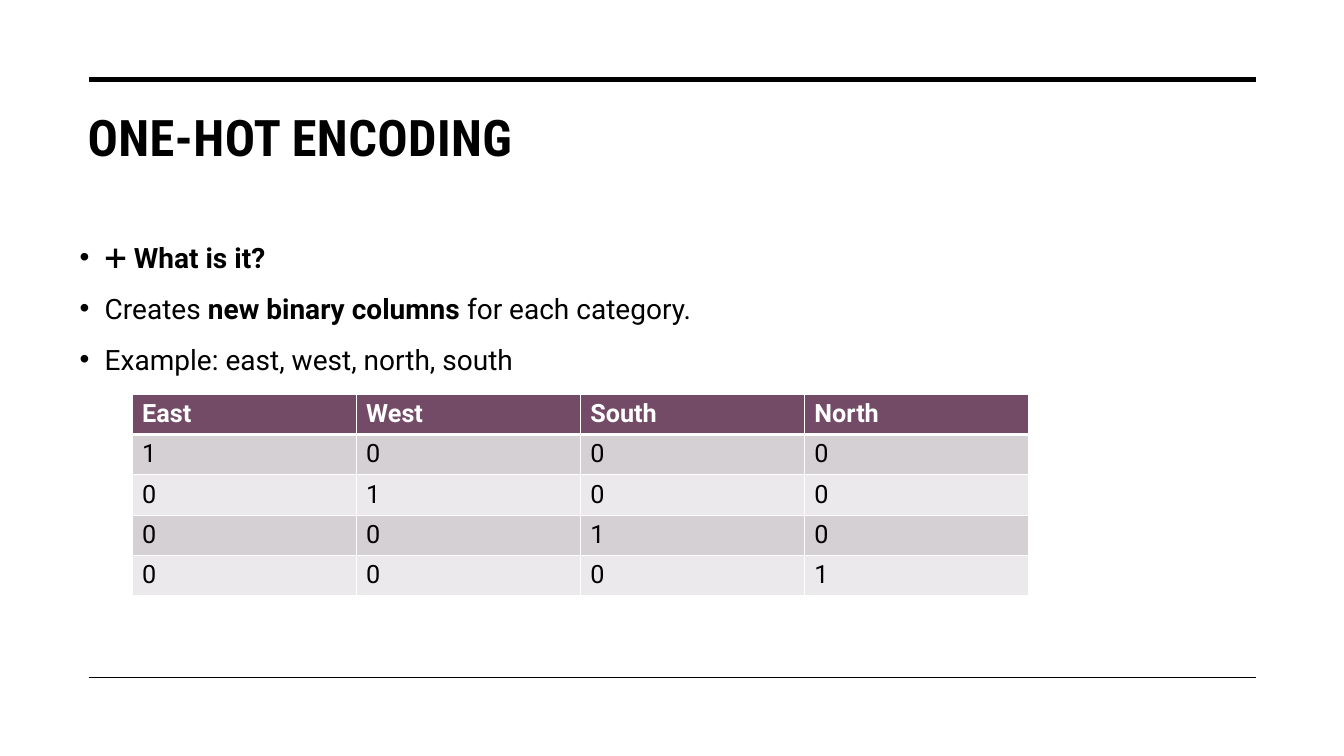
from pptx import Presentation
from pptx.dml.color import RGBColor
from pptx.enum.shapes import MSO_CONNECTOR as Link
from pptx.oxml.ns import qn
from pptx.util import Inches, Pt
from lxml.etree import SubElement as Sub

INK, WHITE, PLUM = "000000", "FFFFFF", "734B67"
BANDS = ["D5D0D3", "EBE9EB"]
HEADS = ["East", "West", "South", "North"]
POINTS = [
    [("➕ What is it?", True)],
    [("Creates ", False), ("new binary columns", True),
     (" for each category.", False)],
    [("Example: east, west, north, south", False)],
]


def color(code):
    return RGBColor.from_string(code)


def style(para, size, name="Roboto", code=INK, bold=None):
    font = para.font
    font.size, font.name, font.bold = Pt(size), name, bold
    font.color.rgb = color(code)


def add_rule(slide, top, width):
    y = Inches(top)
    rule = slide.shapes.add_connector(
        Link.STRAIGHT, Inches(0.88), y, Inches(12.46), y)
    rule.line.color.rgb = color(INK)
    rule.line.width = Pt(width)
    Sub(rule._element.spPr, qn("a:effectLst"))


def add_box(slide, left, top, width, height):
    box = slide.shapes.add_textbox(
        Inches(left), Inches(top), Inches(width), Inches(height))
    box.text_frame.word_wrap = True
    return box.text_frame


def add_title(slide, text):
    para = add_box(slide, 0.77, 1, 11.69, 1.43).paragraphs[0]
    run = para.add_run()
    run.text = text
    run.font._element.set("spc", "30")
    style(para, 36, "Roboto Condensed", bold=True)


def add_points(slide, points):
    frame = add_box(slide, 0.69, 2.3, 11.69, 4.09)
    for i, parts in enumerate(points):
        para = frame.add_paragraph() if i else frame.paragraphs[0]
        props = para._p.get_or_add_pPr()
        props.set("marL", str(Inches(0.25)))
        props.set("indent", str(Inches(-0.25)))
        Sub(props, qn("a:buFont"), typeface="Arial")
        Sub(props, qn("a:buChar"), char="•")
        para.line_spacing = 1.1
        if i:
            para.space_before = Pt(10)
        style(para, 20)
        for text, bold in parts:
            run = para.add_run()
            run.text = text
            run.font.bold = bold


def add_edge(cell, side, width):
    edge = Sub(cell._tc.get_or_add_tcPr(), qn("a:ln" + side), w=str(Pt(width)))
    Sub(Sub(edge, qn("a:solidFill")), qn("a:srgbClr"), val=WHITE)


def fill_cell(cell, text, row):
    head = row == 0
    cell.text = text
    style(cell.text_frame.paragraphs[0], 18,
          code=WHITE if head else INK, bold=head)
    for side in "LRTB":
        thick = (row, side) in [(0, "B"), (1, "T")]
        add_edge(cell, side, 3 if thick else 1)
    cell.fill.solid()
    cell.fill.fore_color.rgb = color(PLUM if head else BANDS[(row - 1) % 2])


def add_grid(slide, heads):
    count = len(heads)
    rows = [heads] + [[str(int(i == j)) for j in range(count)]
                      for i in range(count)]
    grid = slide.shapes.add_table(
        len(rows), count, Inches(1.31), Inches(3.91),
        Inches(8.89), Inches(0.4 * len(rows))).table
    for i, row in enumerate(rows):
        for j, text in enumerate(row):
            fill_cell(grid.cell(i, j), text, i)


def main():
    deck = Presentation()
    deck.slide_width, deck.slide_height = Inches(13.33), Inches(7.5)
    slide = deck.slides.add_slide(deck.slide_layouts[6])
    add_rule(slide, 0.79, 3.5)
    add_rule(slide, 6.72, 1)
    add_title(slide, "ONE-HOT ENCODING")
    add_points(slide, POINTS)
    add_grid(slide, HEADS)
    deck.save("out.pptx")


if __name__ == "__main__":
    main()
